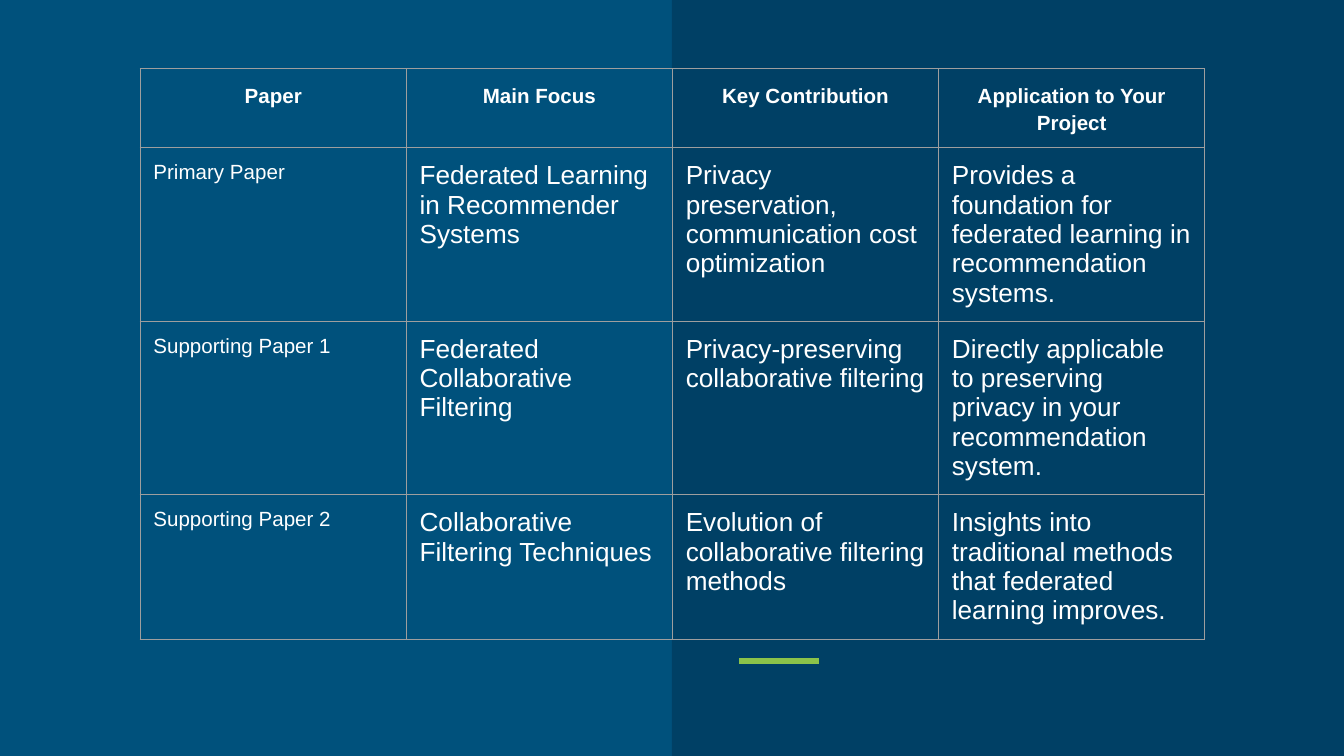
from dataclasses import dataclass

from lxml import etree
from pptx import Presentation
from pptx.dml.color import RGBColor
from pptx.enum.shapes import MSO_CONNECTOR, MSO_SHAPE
from pptx.enum.text import PP_ALIGN
from pptx.oxml.ns import qn
from pptx.slide import Slide
from pptx.table import _Cell
from pptx.util import Cm, Pt

STRAIGHT = MSO_CONNECTOR.STRAIGHT
RECTANGLE = MSO_SHAPE.RECTANGLE
CENTER = PP_ALIGN.CENTER
LEFT = PP_ALIGN.LEFT


@dataclass(frozen=True)
class Theme:
    background: str = "00517C"
    panel: str = "004065"
    accent: str = "8BC34A"
    border: str = "9E9E9E"
    text: str = "FFFFFF"
    font: str = "Arial"
    label_size: int = 11
    body_size: int = 14
    border_width: float = 0.75
    accent_width: int = 3


@dataclass(frozen=True)
class PaperRow:
    paper: str
    focus: str
    contribution: str
    application: str
    height: float

    def texts(self) -> tuple[str, ...]:
        return self.paper, self.focus, self.contribution, self.application


THEME = Theme()
PAGE_WIDTH, PAGE_HEIGHT = Cm(25.4), Cm(14.29)
TABLE_LEFT, TABLE_TOP = Cm(2.65), Cm(1.3)
COLUMN_WIDTH = Cm(5.03)
CELL_MARGIN = Cm(0.25)

ROWS = [
    PaperRow("Paper", "Main Focus", "Key Contribution",
             "Application to Your Project", 1.49),
    PaperRow("Primary Paper", "Federated Learning in Recommender Systems",
             "Privacy preservation, communication cost optimization",
             "Provides a foundation for federated learning in recommendation systems.", 3.28),
    PaperRow("Supporting Paper 1", "Federated Collaborative Filtering",
             "Privacy-preserving collaborative filtering",
             "Directly applicable to preserving privacy in your recommendation system.", 3.28),
    PaperRow("Supporting Paper 2", "Collaborative Filtering Techniques",
             "Evolution of collaborative filtering methods",
             "Insights into traditional methods that federated learning improves.", 2.73),
]


def color(value: str) -> RGBColor:
    return RGBColor.from_string(value)


def draw_backdrop(page: Slide) -> None:
    fill = page.background.fill
    fill.solid()
    fill.fore_color.rgb = color(THEME.background)

    half = PAGE_WIDTH // 2
    panel = page.shapes.add_shape(RECTANGLE, half, 0, half, PAGE_HEIGHT)
    panel.shadow.inherit = False
    panel.fill.solid()
    panel.fill.fore_color.rgb = color(THEME.panel)
    panel.line.fill.background()

    accent = page.shapes.add_connector(STRAIGHT, Cm(13.97), Cm(12.49), Cm(15.48), Cm(12.49))
    accent.line.color.rgb = color(THEME.accent)
    accent.line.width = Pt(THEME.accent_width)
    etree.SubElement(accent._element.spPr, qn("a:effectLst"))


def set_borders(cell: _Cell) -> None:
    """Line all four sides; the schema wants the lines ahead of the cell fill."""
    properties = cell._tc.get_or_add_tcPr()
    for index, side in enumerate(("a:lnL", "a:lnR", "a:lnT", "a:lnB")):
        line = etree.Element(qn(side), w=str(Pt(THEME.border_width)))
        fill = etree.SubElement(line, qn("a:solidFill"))
        etree.SubElement(fill, qn("a:srgbClr"), val=THEME.border)
        properties.insert(index, line)


def fill_cell(cell: _Cell, text: str, is_header: bool, is_label: bool) -> None:
    cell.fill.background()
    set_borders(cell)
    cell.margin_left = cell.margin_right = CELL_MARGIN
    cell.margin_top = cell.margin_bottom = CELL_MARGIN
    cell.text_frame.text = text
    para = cell.text_frame.paragraphs[0]
    para.alignment = CENTER if is_header else LEFT
    para.line_spacing = 1.15 if is_header else 1.0
    font = para.runs[0].font
    font.name = THEME.font
    font.size = Pt(THEME.label_size if is_header or is_label else THEME.body_size)
    font.bold = is_header
    font.color.rgb = color(THEME.text)


def draw_paper_table(page: Slide, rows: list[PaperRow]) -> None:
    column_count = len(rows[0].texts())
    height = Cm(sum(row.height for row in rows))
    frame = page.shapes.add_table(len(rows), column_count, TABLE_LEFT, TABLE_TOP,
                                  COLUMN_WIDTH * column_count, height)
    table = frame.table
    table.first_row = False
    table.horz_banding = False
    for column in table.columns:
        column.width = COLUMN_WIDTH
    for row_index, row in enumerate(rows):
        table.rows[row_index].height = Cm(row.height)
        for column_index, text in enumerate(row.texts()):
            fill_cell(table.cell(row_index, column_index), text,
                      is_header=row_index == 0, is_label=column_index == 0)


def main() -> None:
    deck = Presentation()
    deck.slide_width, deck.slide_height = PAGE_WIDTH, PAGE_HEIGHT
    page = deck.slides.add_slide(deck.slide_layouts.get_by_name("Blank"))
    draw_backdrop(page)
    draw_paper_table(page, ROWS)
    deck.save("out.pptx")


if __name__ == "__main__":
    main()
